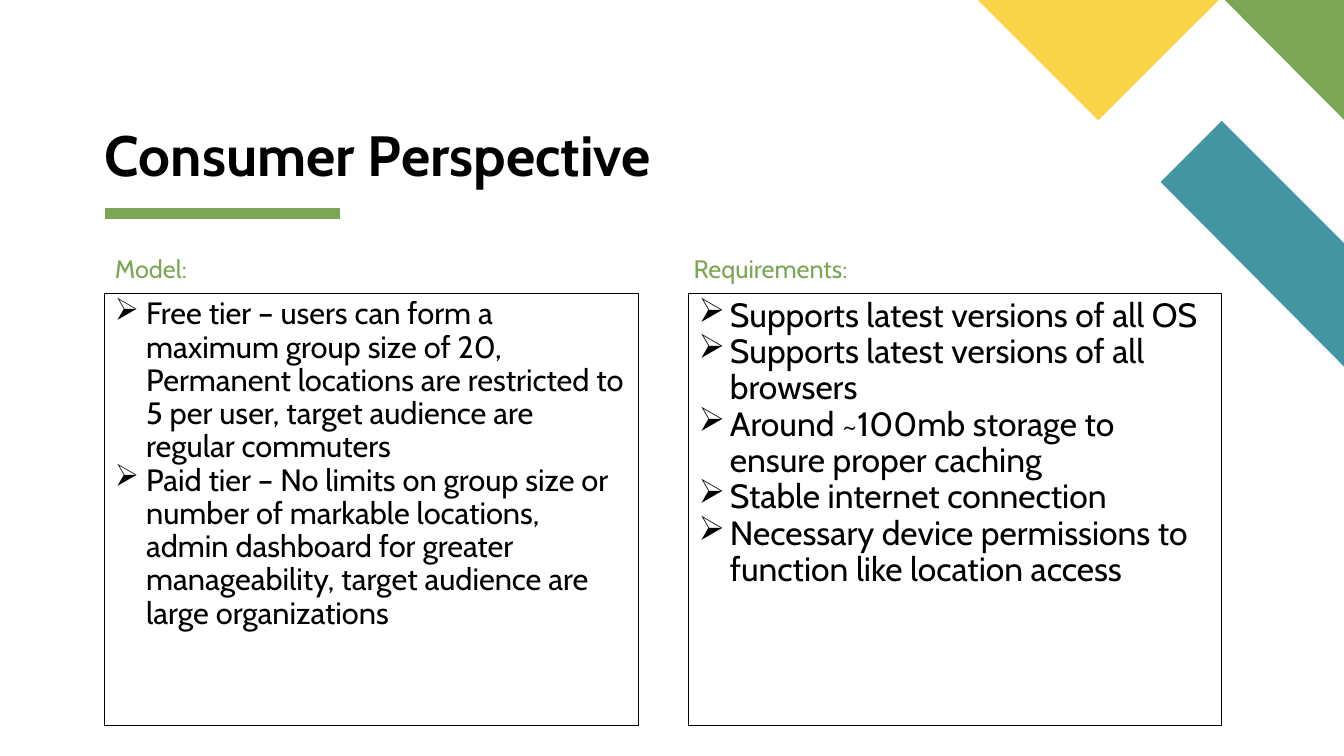
from pptx import Presentation
from pptx.dml.color import RGBColor
from pptx.enum.shapes import MSO_CONNECTOR as CONNECTOR
from pptx.enum.text import MSO_ANCHOR as ANCHOR, MSO_AUTO_SIZE as AUTO_SIZE
from pptx.oxml.ns import qn
from pptx.util import Inches, Pt
from lxml.etree import SubElement

COLORS = {"green": "7CA655", "teal": "4495A2", "yellow": "F9D448", "black": "000000"}
FONT = "Cabin"
WIDTH, HEIGHT = 13.33, 7.5
MARGIN = 1.04
COLUMN_WIDTH, COLUMN_STEP = 5.29, 5.79

# Corner bands, as points on a grid of CORNER_UNIT squares
CORNER_UNIT = 0.6
CORNER_BANDS = [
    ("teal", [(6.05, 6.06), (6.05, 4.02), (4.03, 2), (3.02, 3.01)]),
    ("green", [(4.08, 0), (6.05, 0), (6.05, 1.98)]),
    ("yellow", [(0, 0), (3.98, 0), (1.99, 1.99)]),
]

# Heading, heading shift, heading width, text size, list items
COLUMNS = [
    ("Model:", 0, 5.29, 22, [
        "Free tier – users can form a maximum group size of 20, Permanent locations "
        "are restricted to 5 per user, target audience are regular commuters",
        "Paid tier – No limits on group size or number of markable locations, admin "
        "dashboard for greater manageability, target audience are large organizations",
    ]),
    ("Requirements:", -0.05, 5.62, 24, [
        "Supports latest versions of all OS",
        "Supports latest versions of all browsers",
        "Around ~100mb storage to ensure proper caching",
        "Stable internet connection",
        "Necessary device permissions to function like location access",
    ]),
]


def rgb(name):
    return RGBColor.from_string(COLORS[name])


def place(shape, left, top, width, height):
    shape.left, shape.top = Inches(left), Inches(top)
    shape.width, shape.height = Inches(width), Inches(height)


def set_bullet(paragraph, indent, arrow):
    properties = paragraph._p.get_or_add_pPr()
    properties.set("marL", str(Inches(indent)))
    properties.set("indent", str(-Inches(indent)))
    if arrow:
        color = SubElement(properties, qn("a:buClr"))
        SubElement(color, qn("a:srgbClr"), val=COLORS["black"])
        SubElement(properties, qn("a:buFont"), typeface="Wingdings", charset="2")
        SubElement(properties, qn("a:buChar"), char="Ø")
    else:
        SubElement(properties, qn("a:buNone"))


def write(shape, lines, size, color="black", bold=False, indent=0, arrow=False,
          anchor=ANCHOR.TOP):
    frame = shape.text_frame
    frame.text = "\n".join(lines)
    frame.word_wrap = True
    frame.auto_size = AUTO_SIZE.NONE
    frame.vertical_anchor = anchor
    for paragraph in frame.paragraphs:
        set_bullet(paragraph, indent, arrow)
        paragraph.line_spacing = 0.9
        paragraph.space_before = Pt(0)
        font = paragraph.font
        font.name, font.size, font.bold = FONT, Pt(size), bold
        font.color.rgb = rgb(color)


def add_corner(slide, left, top):
    for color, points in CORNER_BANDS:
        corners = [(Inches(left + x * CORNER_UNIT), Inches(top + y * CORNER_UNIT))
                   for x, y in points]
        builder = slide.shapes.build_freeform(*corners[0])
        builder.add_line_segments(corners[1:], close=True)
        band = builder.convert_to_shape()
        band.shadow.inherit = False
        band.fill.solid()
        band.fill.fore_color.rgb = rgb(color)
        band.line.fill.background()


def add_title(slide, left, top, width, height):
    # Title text
    title = slide.shapes.title
    place(title, left, top, width, height)
    write(title, ["Consumer Perspective"], 40.5, bold=True, anchor=ANCHOR.BOTTOM)
    frame = title.text_frame
    frame.margin_left = frame.margin_right = frame.margin_top = frame.margin_bottom = 0
    frame.paragraphs[0].alignment = 1

    # Rule under the title
    rule_top = Inches(top + height + 0.25)
    rule = slide.shapes.add_connector(CONNECTOR.STRAIGHT, Inches(left), rule_top,
                                      Inches(left + 2.33), rule_top)
    rule.line.color.rgb = rgb("green")
    rule.line.width = Pt(8)
    SubElement(rule._element.spPr, qn("a:effectLst"))


def add_column(heading, body, column, left, top, width, height):
    label, shift, label_width, size, items = column
    place(heading, left + shift, top, label_width, 0.34)
    write(heading, [label], 18, color="green", indent=0.25)

    # Framed list
    offset = 0.41
    place(body, left, top + offset, width, height - offset)
    write(body, items, size, indent=0.31, arrow=True)
    body.line.color.rgb = rgb("black")
    body.line.width = Pt(0.75)


def build_comparison(presentation):
    slide = presentation.slides.add_slide(presentation.slide_layouts[4])
    add_corner(slide, 9.7, 0)
    add_title(slide, MARGIN, 1.2, 6.32, 0.67)
    holders = {holder.placeholder_format.idx: holder for holder in slide.placeholders}
    for index, column in enumerate(COLUMNS):
        add_column(holders[2 * index + 1], holders[2 * index + 2], column,
                   MARGIN + index * COLUMN_STEP, 2.5, COLUMN_WIDTH, 4.7)


presentation = Presentation()
presentation.slide_width, presentation.slide_height = Inches(WIDTH), Inches(HEIGHT)
build_comparison(presentation)
presentation.save("out.pptx")
